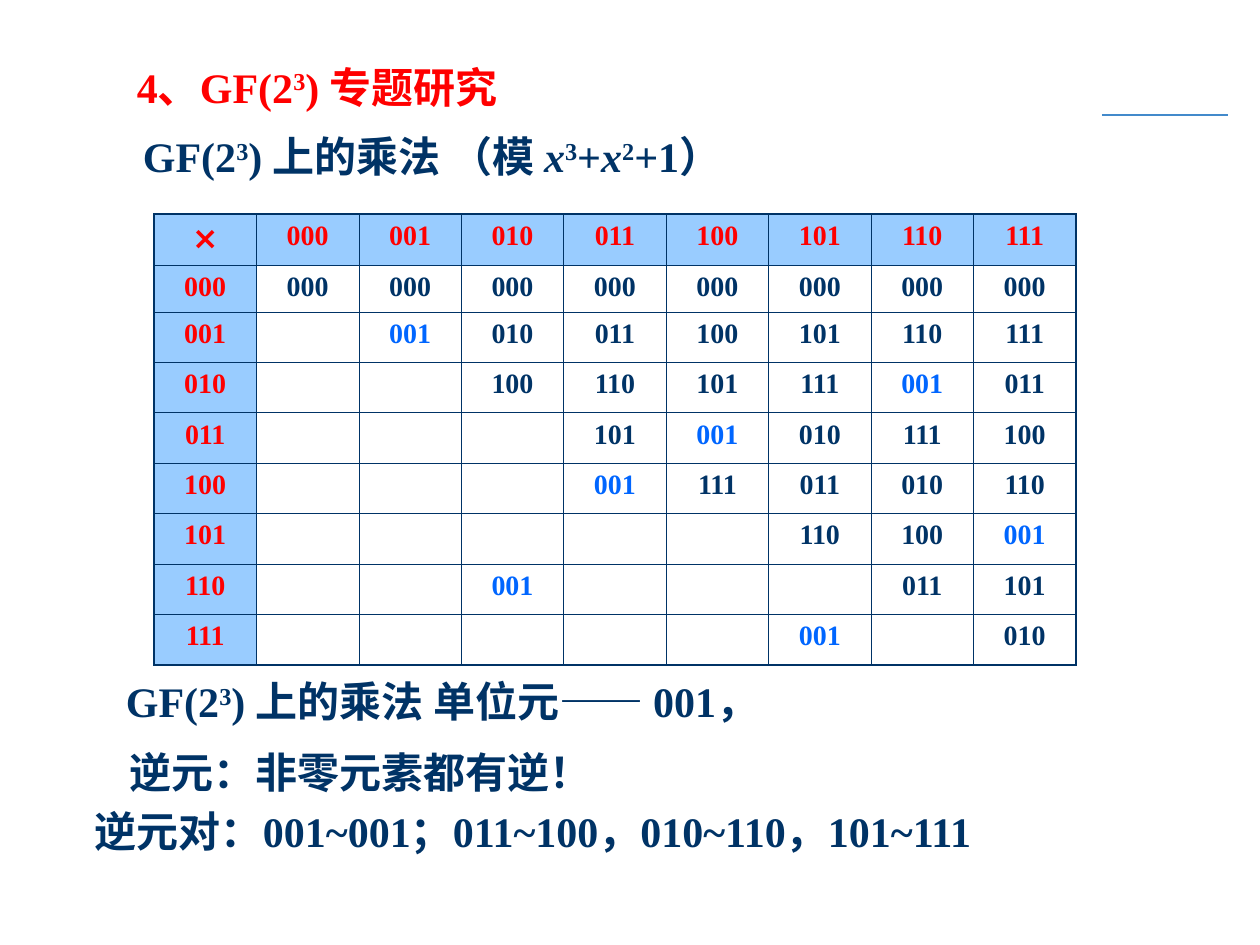
import dataclasses
import typing

import lxml.etree
import pptx
import pptx.dml.color
import pptx.enum.shapes
import pptx.enum.text
import pptx.oxml.ns
import pptx.util

EMU_PER_PX = 914400 / 126


@dataclasses.dataclass(frozen=True)
class Theme:
    """Colours, fonts and sizes of the page."""
    accent: str = "FF0000"
    ink: str = "003366"
    identity: str = "0066FF"
    header_fill: str = "99CCFF"
    rule: str = "438ACB"
    font: str = "Times New Roman"
    symbol_font: str = "DejaVu Sans"
    line_size: int = 24
    cell_size: int = 16
    symbol_size: int = 18
    outer_border: float = 1.08
    inner_border: float = 0.45


class Span(typing.NamedTuple):
    """A piece of text with one format."""
    text: str
    raised: bool = False
    italic: bool = False


class Line(typing.NamedTuple):
    """A line of text and the frame it sits in."""
    left: int
    top: int
    width: int
    spans: tuple[Span, ...]


THEME = Theme()
LINE_HEIGHT = 78
LINE_INSETS = {"margin_left": 66, "margin_right": 10, "margin_top": 6, "margin_bottom": 5}
FIELD = (Span("GF(2"), Span("3", raised=True))
TITLE = Line(71, 55, 469, (Span("4、GF(2"), FIELD[1], Span(") 专题研究")))
LINES = (
    Line(77, 125, 685, FIELD + (
        Span(") 上的乘法 （模 "), Span("x", italic=True), Span("3", raised=True), Span("+"),
        Span("x", italic=True), Span("2", raised=True), Span("+1）"))),
    Line(60, 670, 741, FIELD + (Span(") 上的乘法 单位元—— 001，"),)),
    Line(64, 741, 542, (Span("逆元：非零元素都有逆！"),)),
    Line(29, 800, 1036, (Span("逆元对：001~001；011~100，010~110，101~111"),)),
)
PRODUCTS = [row.split() for row in (
    "×   000 001 010 011 100 101 110 111",
    "000 000 000 000 000 000 000 000 000",
    "001 -   001 010 011 100 101 110 111",
    "010 -   -   100 110 101 111 001 011",
    "011 -   -   -   101 001 010 111 100",
    "100 -   -   -   001 111 011 010 110",
    "101 -   -   -   -   -   110 100 001",
    "110 -   -   001 -   -   -   011 101",
    "111 -   -   -   -   -   001 -   010",
)]
LAST = len(PRODUCTS) - 1


def emu(px: float) -> pptx.util.Emu:
    """Turn px into EMU."""
    return pptx.util.Emu(round(px * EMU_PER_PX))


def apply(target: typing.Any, values: dict[str, typing.Any]) -> None:
    """Set attributes from a dict of values."""
    for name, value in values.items():
        setattr(target, name, value)


def add_span(para: typing.Any, span: Span, color: str, size: int, font: str = THEME.font) -> None:
    """Add a formatted bold run to a paragraph."""
    run = para.add_run()
    run.text = span.text
    apply(run.font, {"name": font, "size": pptx.util.Pt(size), "bold": True, "italic": span.italic})
    run.font.color.rgb = pptx.dml.color.RGBColor.from_string(color)
    if span.raised:
        run._r.get_or_add_rPr().set("baseline", "30000")


def write_line(box: typing.Any, line: Line, color: str) -> None:
    """Place a box and write a line of text in it."""
    apply(box, {"left": emu(line.left), "top": emu(line.top),
                "width": emu(line.width), "height": emu(LINE_HEIGHT)})
    frame = box.text_frame
    apply(frame, {name: emu(px) for name, px in LINE_INSETS.items()})
    apply(frame, {"word_wrap": False,
                  "auto_size": pptx.enum.text.MSO_AUTO_SIZE.SHAPE_TO_FIT_TEXT,
                  "vertical_anchor": pptx.enum.text.MSO_ANCHOR.TOP})
    para = frame.paragraphs[0]
    para.alignment = pptx.enum.text.PP_ALIGN.LEFT
    for span in line.spans:
        add_span(para, span, color, THEME.line_size)


def add_borders(cell: typing.Any, row: int, column: int) -> None:
    """Draw the four borders of a cell, heavier on the table's edge."""
    qn = pptx.oxml.ns.qn
    sides = {"L": column == 0, "R": column == LAST, "T": row == 0, "B": row == LAST}
    for side, outer in sides.items():
        weight = THEME.outer_border if outer else THEME.inner_border
        border = lxml.etree.SubElement(cell._tc.get_or_add_tcPr(), qn(f"a:ln{side}"),
                                       w=str(pptx.util.Pt(weight)))
        fill = lxml.etree.SubElement(border, qn("a:solidFill"))
        lxml.etree.SubElement(fill, qn("a:srgbClr"), val=THEME.ink)


def fill_cell(cell: typing.Any, row: int, column: int) -> None:
    """Format one cell and write its value."""
    value = PRODUCTS[row][column]
    header = row == 0 or column == 0
    add_borders(cell, row, column)
    if header:
        cell.fill.solid()
        cell.fill.fore_color.rgb = pptx.dml.color.RGBColor.from_string(THEME.header_fill)
    else:
        cell.fill.background()
    para = cell.text_frame.paragraphs[0]
    para.alignment = pptx.enum.text.PP_ALIGN.CENTER
    if value == "-":
        para._p.get_or_add_endParaRPr().set("sz", str(THEME.cell_size * 100))
    elif value == "×":
        add_span(para, Span(value), THEME.accent, THEME.symbol_size, THEME.symbol_font)
    else:
        body_color = THEME.identity if value == "001" else THEME.ink
        add_span(para, Span(value), THEME.accent if header else body_color, THEME.cell_size)


def add_products(page: typing.Any) -> None:
    """Add the multiplication table."""
    count = len(PRODUCTS)
    table = page.shapes.add_table(count, count, emu(154), emu(214), emu(922), emu(451)).table
    apply(table, {"first_row": False, "horz_banding": False})
    heights = [51, 47] + [353 / 7] * 7
    for index, height in enumerate(heights):
        table.rows[index].height = emu(height)
        table.columns[index].width = emu(922 / count)
        for column in range(count):
            fill_cell(table.cell(index, column), index, column)


def add_rule(page: typing.Any) -> None:
    """Add the thin rule at the top right."""
    rule = page.shapes.add_connector(pptx.enum.shapes.MSO_CONNECTOR.STRAIGHT,
                                     emu(1102), emu(115), emu(1228), emu(115))
    rule.line.color.rgb = pptx.dml.color.RGBColor.from_string(THEME.rule)
    rule.line.width = pptx.util.Pt(0.75)
    lxml.etree.SubElement(rule._element.spPr, pptx.oxml.ns.qn("a:effectLst"))


def main() -> None:
    """Build and save the deck."""
    deck = pptx.Presentation()
    apply(deck, {"slide_width": emu(1260), "slide_height": emu(945)})
    page = deck.slides.add_slide(deck.slide_layouts[5])
    add_rule(page)
    write_line(page.shapes.title, TITLE, THEME.accent)
    add_products(page)
    for line in LINES:
        write_line(page.shapes.add_textbox(0, 0, 0, 0), line, THEME.ink)
    deck.save("out.pptx")


if __name__ == "__main__":
    main()
